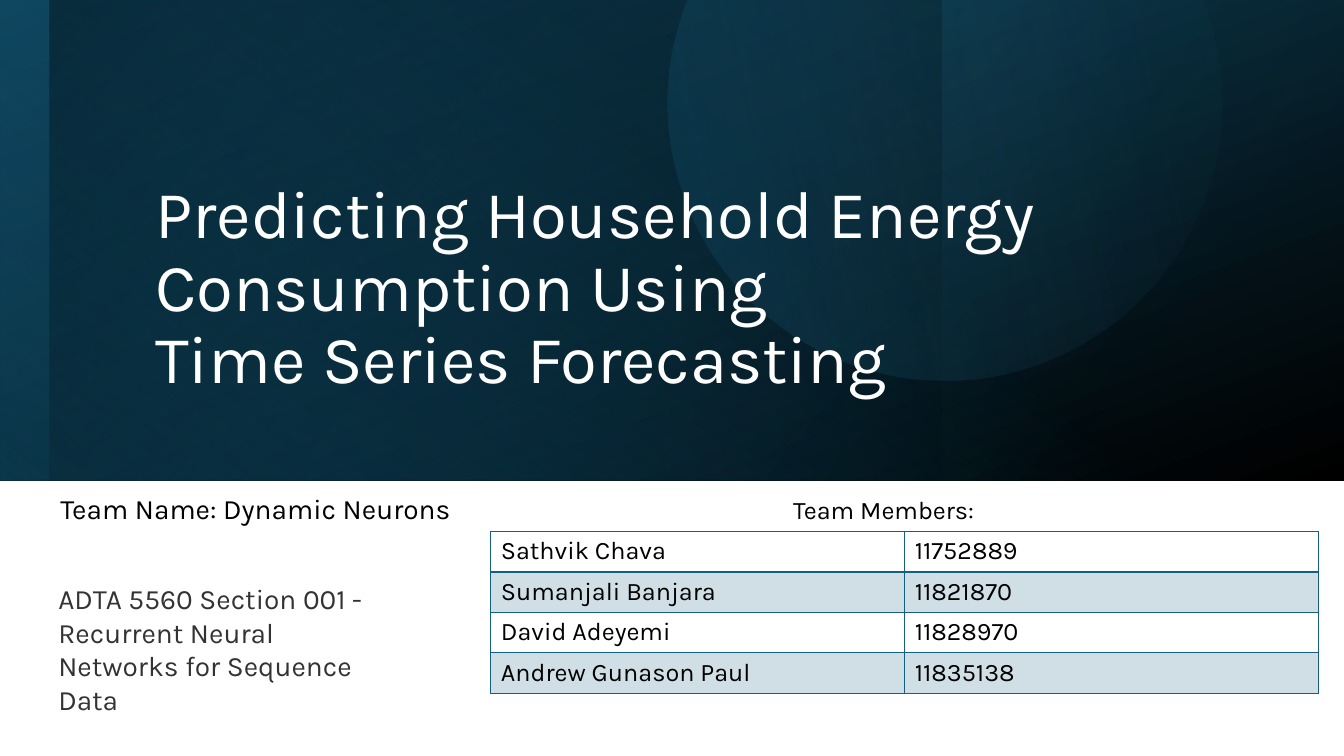
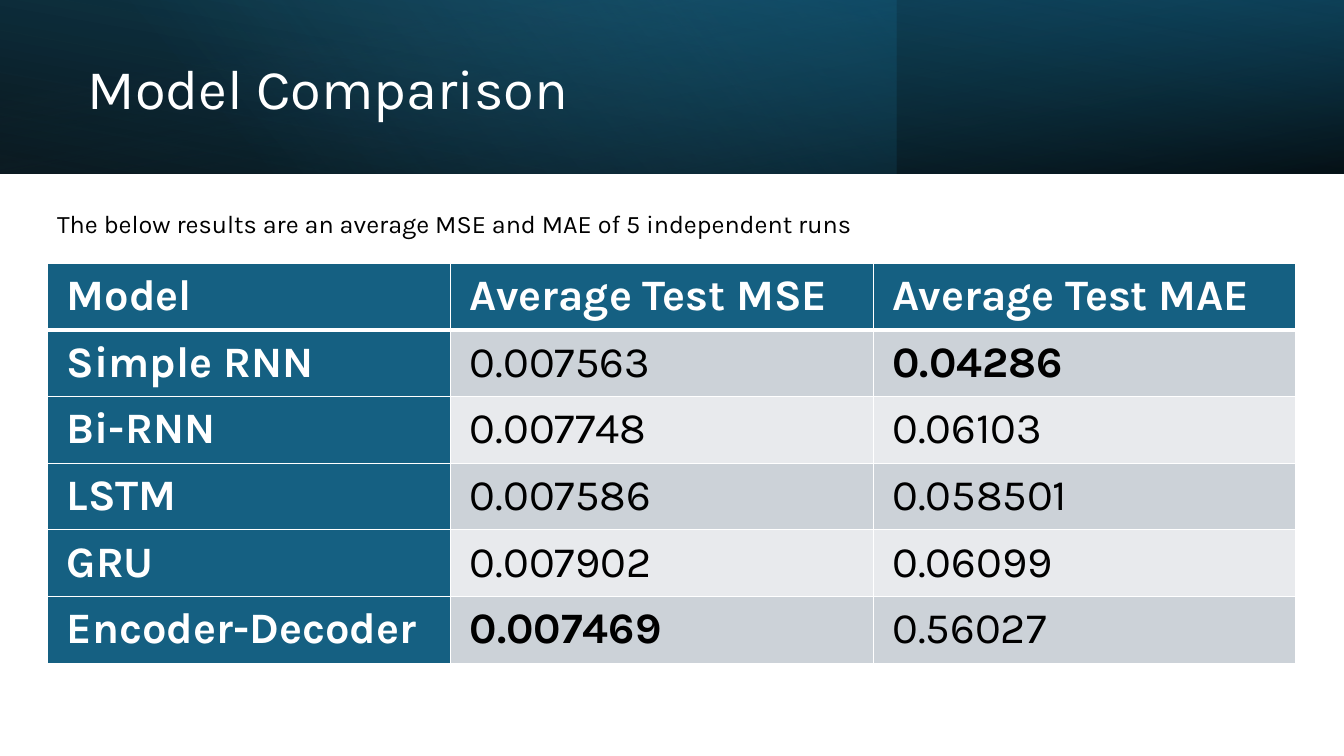
from math import asin, cos, pi, sin

from lxml.etree import SubElement
from pptx import Presentation
from pptx.dml.color import RGBColor
from pptx.enum.shapes import MSO_SHAPE as Shape
from pptx.enum.text import MSO_ANCHOR as Anchor, MSO_AUTO_SIZE as AutoSize, PP_ALIGN as Align
from pptx.oxml import parse_xml
from pptx.oxml.ns import nsdecls, qn
from pptx.util import Cm, Pt

BLACK = RGBColor(0x00, 0x00, 0x00)
WHITE = RGBColor(0xFF, 0xFF, 0xFF)
CHARCOAL = RGBColor(0x33, 0x33, 0x33)
TEAL = RGBColor(0x15, 0x60, 0x82)
DEEP_TEAL = RGBColor(0x10, 0x48, 0x62)
NIGHT_TEAL = RGBColor(0x0B, 0x30, 0x41)
SKY = RGBColor(0x46, 0xB1, 0xE1)
PALE_TEAL = RGBColor(0xD0, 0xDF, 0xE6)
MIST = RGBColor(0xCC, 0xD2, 0xD8)
PALE_MIST = RGBColor(0xE8, 0xEA, 0xED)

FONT = "Karla"
WIDTH, HEIGHT = 33.87, 19.05
COVER_HEIGHT, HEADER_HEIGHT = 12.1, 4.37


class SlideWriter:
    """Holds the deck, its style and the slide being written; lengths are in cm."""

    def __init__(self):
        self.deck = Presentation()
        self.deck.slide_width, self.deck.slide_height = Cm(WIDTH), Cm(HEIGHT)
        self.page = None

    def new_page(self):
        self.page = self.deck.slides.add_slide(self.deck.slide_layouts[5])

    def style(self, para, size, color, bold=False, align=Align.LEFT):
        para.alignment = align
        font = para.font
        font.name, font.size, font.bold = FONT, Pt(size), bold
        font.color.rgb = color

    def title(self, text, left, top, width, height, size, anchor):
        title = self.page.shapes.title
        title.left, title.top, title.width, title.height = map(Cm, (left, top, width, height))
        frame = title.text_frame
        frame.text = text
        frame.auto_size, frame.word_wrap = AutoSize.NONE, True
        frame.vertical_anchor = anchor
        para = frame.paragraphs[0]
        para.line_spacing = 0.9
        self.style(para, size, WHITE)
        # Bring the title in front of the bands
        self.page.shapes._spTree.append(title._element)

    def text(self, text, left, top, width, height, size=18, color=BLACK):
        box = self.page.shapes.add_textbox(*map(Cm, (left, top, width, height)))
        box.text_frame.word_wrap = True
        box.text_frame.text = text
        self.style(box.text_frame.paragraphs[0], size, color)

    def gradient(self, shape, angle, stops):
        """Fill with (position %, colour, opacity %) stops, angle clockwise."""
        shape.shadow.inherit = False
        shape.line.fill.background()
        shape.fill.background()
        fill = parse_xml(f'<a:gradFill {nsdecls("a")} rotWithShape="1"/>')
        stop_list = SubElement(fill, qn("a:gsLst"))
        for position, color, opacity in stops:
            stop = SubElement(stop_list, qn("a:gs"), pos=str(position * 1000))
            value = SubElement(stop, qn("a:srgbClr"), val=str(color))
            SubElement(value, qn("a:alpha"), val=str(opacity * 1000))
        SubElement(fill, qn("a:lin"), ang=str(angle * 60000), scaled="0")
        properties = shape._element.spPr
        properties.replace(properties.find(qn("a:noFill")), fill)

    def band(self, left, width, height, angle, *stops):
        band = self.page.shapes.add_shape(Shape.RECTANGLE, Cm(left), 0, Cm(width), Cm(height))
        self.gradient(band, angle, stops)

    def cut_circle(self, center_x, center_y, radius, angle, *stops):
        """Circle cut off along the top edge of the slide."""
        start = -asin(center_y / radius)
        steps = 90
        turns = [start + (pi - 2 * start) * step / steps for step in range(steps + 1)]
        points = [(Cm(center_x + radius * cos(turn)), Cm(center_y + radius * sin(turn)))
                  for turn in turns]
        builder = self.page.shapes.build_freeform(*points[0], scale=1.0)
        builder.add_line_segments(points[1:], close=True)
        self.gradient(builder.convert_to_shape(), angle, stops)

    def table(self, left, top, widths, row_height, rows):
        frame = self.page.shapes.add_table(
            len(rows), len(widths), Cm(left), Cm(top), Cm(sum(widths)), Cm(row_height * len(rows)))
        table = frame.table
        table.first_row = table.horz_banding = False
        for column, width in zip(table.columns, widths):
            column.width = Cm(width)
        for row, values in zip(table.rows, rows):
            row.height = Cm(row_height)
            for cell, value in zip(row.cells, values):
                cell.text = value
        return table

    def cell_look(self, cell, fill, border, top=1, bottom=1):
        cell.fill.solid()
        cell.fill.fore_color.rgb = fill
        properties = cell._tc.get_or_add_tcPr()
        sides = (("L", 1), ("R", 1), ("T", top), ("B", bottom))
        for index, (side, points) in enumerate(sides):
            properties.insert(index, parse_xml(
                f'<a:ln{side} {nsdecls("a")} w="{Pt(points)}"><a:solidFill>'
                f'<a:srgbClr val="{border}"/></a:solidFill></a:ln{side}>'))


def cover(writer):
    writer.new_page()
    # Layered background
    writer.band(0, WIDTH, COVER_HEIGHT, 70, (0, DEEP_TEAL, 100), (100, BLACK, 100))
    writer.band(0, WIDTH, COVER_HEIGHT, 130, (40, TEAL, 0), (100, DEEP_TEAL, 52))
    writer.band(1.26, WIDTH - 1.26, COVER_HEIGHT, 220, (17, TEAL, 0), (100, BLACK, 37))
    writer.band(0, 23.73, COVER_HEIGHT, 310, (0, NIGHT_TEAL, 0), (100, BLACK, 25))
    writer.cut_circle(23.81, 2.6, 6.98, 348, (0, TEAL, 22), (87, SKY, 2))
    writer.title("Predicting Household Energy Consumption Using\vTime Series Forecasting",
                 3.66, 2.03, 27.91, 8.13, 48, Anchor.BOTTOM)

    # Team and course
    writer.text("Team Name: Dynamic Neurons", 1.27, 12.27, 14.76, 1.96, size=20)
    writer.text("Team Members:", 19.74, 12.32, 6.1, 1.8)
    writer.text("ADTA 5560 Section 001 - Recurrent Neural Networks for Sequence Data",
                1.22, 14.53, 8.92, 2.82, size=20, color=CHARCOAL)

    # Members
    members = [("Sathvik Chava", "11752889"), ("Sumanjali Banjara", "11821870"),
               ("David Adeyemi", "11828970"), ("Andrew Gunason Paul", "11835138")]
    table = writer.table(12.37, 13.39, [10.43, 10.43], 1.02, members)
    for number, row in enumerate(table.rows):
        for cell in row.cells:
            writer.style(cell.text_frame.paragraphs[0], 18, BLACK)
            writer.cell_look(cell, PALE_TEAL if number % 2 else WHITE, TEAL,
                             top=2 if number == 1 else 1, bottom=2 if number == 0 else 1)


def comparison(writer):
    writer.new_page()
    # Header band
    writer.band(0, WIDTH, HEADER_HEIGHT, 280, (0, BLACK, 96), (100, DEEP_TEAL, 100))
    writer.band(0, 22.58, HEADER_HEIGHT, 140, (0, TEAL, 41), (74, SKY, 0))
    writer.band(0, WIDTH, HEADER_HEIGHT, 260, (0, BLACK, 63), (78, TEAL, 15))
    writer.title("Model Comparison", 1.96, 0.69, 19.61, 3.23, 40, Anchor.MIDDLE)
    writer.text("The below results are an average MSE and MAE of 5 independent runs",
                1.19, 5.13, 25.98, 1.02)

    # Results, with the lowest error of each column in bold
    results = [("Simple RNN", "0.007563", "0.04286"), ("Bi-RNN", "0.007748", "0.06103"),
               ("LSTM", "0.007586", "0.058501"), ("GRU", "0.007902", "0.06099"),
               ("Encoder-Decoder", "0.007469", "0.56027")]
    best = [min(column, key=float) for column in list(zip(*results))[1:]]
    header = ("Model", "Average Test MSE", "Average Test MAE")
    table = writer.table(1.2, 6.63, [10.16, 10.65, 10.65], 1.68, [header, *results])
    for number, row in enumerate(table.rows):
        for place, cell in enumerate(row.cells):
            heading = number == 0 or place == 0
            para = cell.text_frame.paragraphs[0]
            writer.style(para, 31, WHITE if heading else BLACK,
                         bold=heading or cell.text == best[place - 1], align=Align.JUSTIFY)
            para.line_spacing, para.space_after = 1.15, Pt(8)
            cell.margin_left = cell.margin_right = Cm(0.48)
            cell.margin_top = cell.margin_bottom = 0
            fill = TEAL if heading else MIST if number % 2 else PALE_MIST
            writer.cell_look(cell, fill, WHITE, top=3 if number == 1 else 1,
                             bottom=3 if number == 0 else 1)


def main():
    writer = SlideWriter()
    cover(writer)
    comparison(writer)
    writer.deck.save("out.pptx")


if __name__ == "__main__":
    main()
